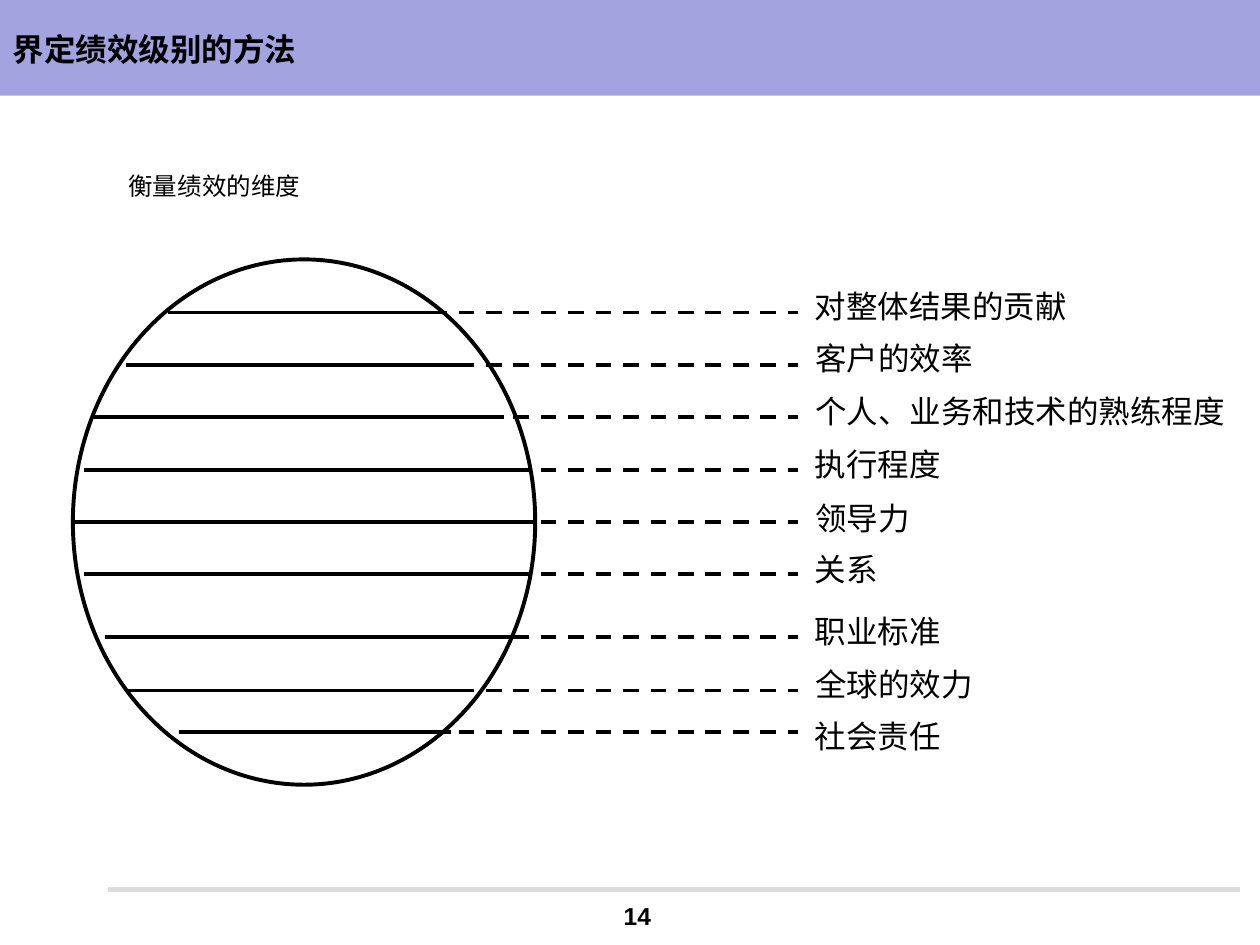
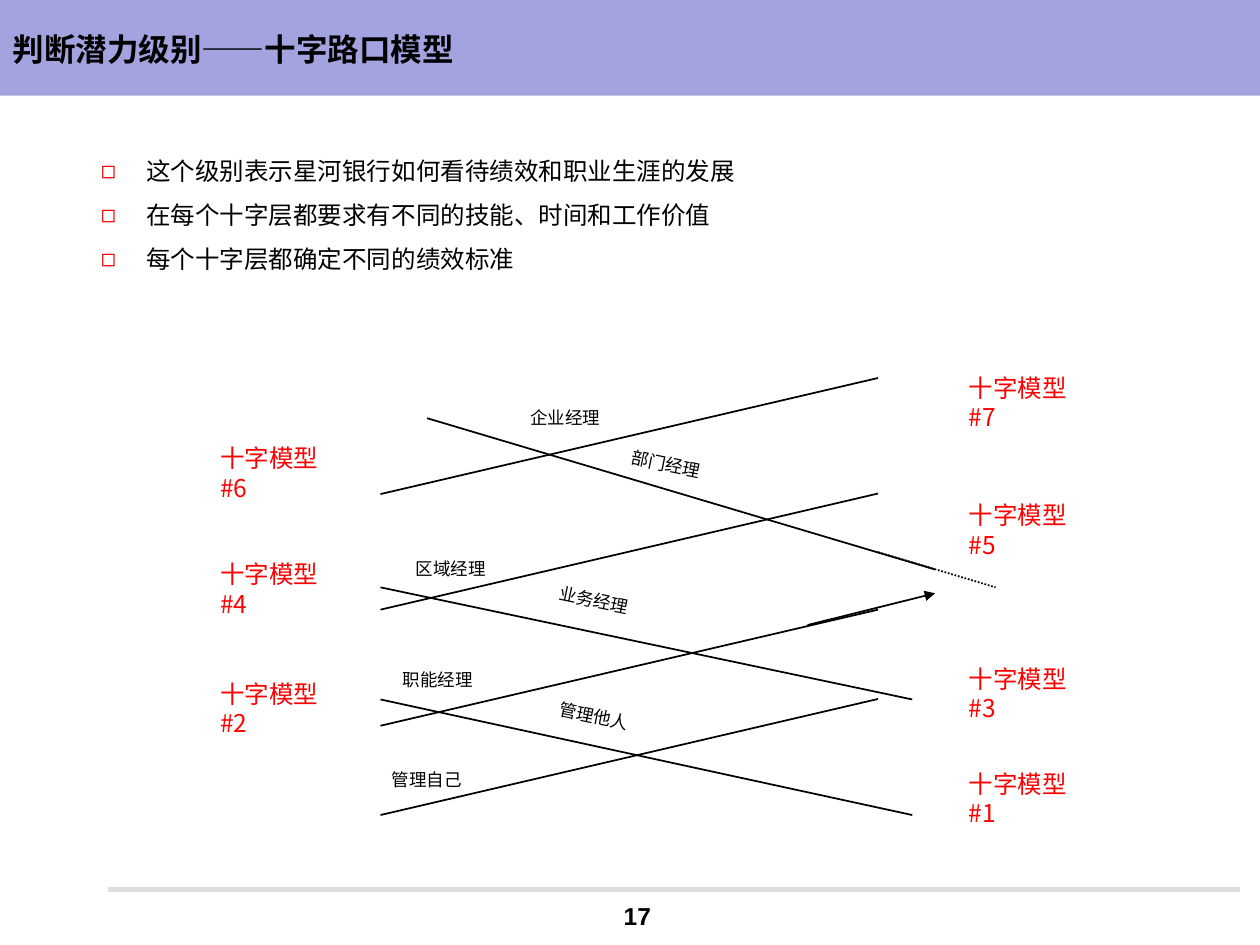
from dataclasses import dataclass
from typing import NamedTuple, Optional

from lxml.etree import SubElement
from pptx import Presentation
from pptx.dml.color import RGBColor
from pptx.enum.dml import MSO_LINE
from pptx.enum.shapes import MSO_CONNECTOR, MSO_SHAPE
from pptx.enum.text import MSO_ANCHOR, MSO_AUTO_SIZE, PP_ALIGN
from pptx.oxml.ns import qn
from pptx.presentation import Presentation as Deck
from pptx.shapes.base import BaseShape
from pptx.slide import Slide
from pptx.text.text import _Paragraph as Paragraph
from pptx.util import Cm, Pt


@dataclass(frozen=True)
class Theme:
    """Colours, fonts and type sizes shared by the slides."""

    band: RGBColor = RGBColor(0xA3, 0xA3, 0xE0)
    rule: RGBColor = RGBColor(0xDD, 0xDD, 0xDD)
    ink: RGBColor = RGBColor(0, 0, 0)
    accent: RGBColor = RGBColor(0xFF, 0, 0)
    paper: RGBColor = RGBColor(0xFF, 0xFF, 0xFF)
    latin: str = "Arial"
    chinese: str = "Noto Sans CJK SC"
    large: int = 18
    medium: int = 14
    small: int = 10
    thin: float = 1
    thick: float = 2.25
    footer_line: float = 2.75


THEME = Theme()


class Style(NamedTuple):
    """Look of a piece of text."""

    size: int
    font: str = THEME.chinese
    color: RGBColor = THEME.ink
    bold: bool = False


class Stroke(NamedTuple):
    """Look of a line."""

    width: float
    color: RGBColor = THEME.ink
    dash: Optional[MSO_LINE] = None
    arrow: bool = False


class Place(NamedTuple):
    """Left, top, width and height in centimetres."""

    left: float
    top: float
    width: float
    height: float


class Dimension(NamedTuple):
    """A performance dimension: its chord of the circle and its label."""

    label: str
    left: float
    right: float
    level: float
    label_top: float


class Segment(NamedTuple):
    """A line between two points, in centimetres."""

    x1: float
    y1: float
    x2: float
    y2: float
    stroke: Stroke


class Role(NamedTuple):
    """A manager role written along one of the roads."""

    label: str
    left: float
    top: float
    angle: float = 0


TITLE = Style(THEME.large, bold=True)
NUMBER = Style(THEME.medium, THEME.latin, bold=True)
BODY = Style(THEME.medium, THEME.latin)
LABEL = Style(THEME.large)
CROSSROAD = Style(THEME.medium, color=THEME.accent)
ROLE = Style(THEME.small)

CHORD = Stroke(THEME.thick)
LEADER = Stroke(THEME.thick, dash=MSO_LINE.DASH)
ROAD = Stroke(THEME.thin)
DOTTED_ROAD = Stroke(THEME.thin, dash=MSO_LINE.ROUND_DOT)
ARROW_ROAD = Stroke(THEME.thin, arrow=True)

DIMENSIONS = [
    Dimension("对整体结果的贡献", 3.38, 8.89, 6.3, 5.66),
    Dimension("客户的效率", 2.54, 9.53, 7.35, 6.71),
    Dimension("个人、业务和技术的熟练程度", 1.9, 10.16, 8.41, 7.77),
    Dimension("执行程度", 1.7, 10.59, 9.47, 8.84),
    Dimension("领导力", 1.47, 10.8, 10.52, 9.93),
    Dimension("关系", 1.7, 10.59, 11.58, 10.97),
    Dimension("职业标准", 2.11, 10.36, 12.85, 12.22),
    Dimension("全球的效力", 2.54, 9.53, 13.92, 13.28),
    Dimension("社会责任", 3.61, 9.09, 14.76, 14.33),
]
LEADER_START, LEADER_END, LABEL_LEFT = 8.69, 16.08, 16.18

POINTS = [
    "这个级别表示星河银行如何看待绩效和职业生涯的发展",
    "在每个十字层都要求有不同的技能、时间和工作价值",
    "每个十字层都确定不同的绩效标准",
]
ROAD_LEFT, ROAD_RIGHT, ROAD_RISE = 7.67, 17.7, 2.34
RISING_STARTS = [9.96, 12.29, 14.63, 16.43]
OTHER_ROADS = [
    Segment(17.7, 11.13, 20.07, 11.84, DOTTED_ROAD),
    Segment(8.61, 8.43, 18.85, 11.48, ROAD),
    Segment(16.28, 12.6, 18.85, 11.96, ARROW_ROAD),
    Segment(ROAD_LEFT, 11.84, 18.39, 14.1, ROAD),
    Segment(ROAD_LEFT, 14.1, 18.39, 16.43, ROAD),
]
CROSSROADS = {
    4.19: {6: 8.81, 4: 11.15, 2: 13.56},
    19.28: {7: 7.39, 5: 9.96, 3: 13.26, 1: 15.37},
}
TILT = 11.6
ROLES = [
    Role("管理自己", 7.65, 15.37),
    Role("管理他人", 11.02, 14.1, TILT),
    Role("职能经理", 7.87, 13.36),
    Role("业务经理", 11.02, 11.76, TILT),
    Role("部门经理", 12.47, 9.02, TILT),
    Role("区域经理", 8.13, 11.13),
    Role("企业经理", 10.44, 8.08),
]


def format_paragraph(para: Paragraph, style: Style) -> None:
    """Give every run of a paragraph the style's font."""
    for span in para.runs:
        span.font.size = Pt(style.size)
        span.font.bold = style.bold
        span.font.color.rgb = style.color
        span.font.name = style.font
        east_asian = SubElement(span._r.get_or_add_rPr(), qn("a:ea"))
        east_asian.set("typeface", THEME.chinese)


def move(shape: BaseShape, place: Place) -> None:
    """Put a shape at its place."""
    shape.left, shape.top = Cm(place.left), Cm(place.top)
    shape.width, shape.height = Cm(place.width), Cm(place.height)


def add_text(page: Slide, text: str, place: Place, style: Style,
             wrap: bool = False) -> BaseShape:
    """Add a one-paragraph text box."""
    box = page.shapes.add_textbox(*(Cm(length) for length in place))
    box.text_frame.word_wrap = wrap
    box.text_frame.text = text
    format_paragraph(box.text_frame.paragraphs[0], style)
    return box


def add_label(page: Slide, text: str, left: float, top: float,
              style: Style) -> BaseShape:
    """Add a single-line label whose box fits its full-width characters."""
    em = Pt(style.size).cm
    return add_text(page, text, Place(left, top, len(text) * em + 0.51,
                                      1.2 * em + 0.25), style)


def add_line(page: Slide, segment: Segment) -> None:
    """Draw a line, with an arrowhead when its stroke asks for one."""
    stroke = segment.stroke
    line = page.shapes.add_connector(
        MSO_CONNECTOR.STRAIGHT, *(Cm(length) for length in segment[:4]))
    line.line.width = Pt(stroke.width)
    line.line.color.rgb = stroke.color
    if stroke.dash is not None:
        line.line.dash_style = stroke.dash
    properties = line.element.spPr
    if stroke.arrow:
        SubElement(properties.find(qn("a:ln")), qn("a:tailEnd")).set(
            "type", "triangle")
    SubElement(properties, qn("a:effectLst"))


def add_solid(page: Slide, kind: MSO_SHAPE, place: Place,
              fill: RGBColor) -> BaseShape:
    """Add a filled preset shape without outline or shadow."""
    shape = page.shapes.add_shape(kind, *(Cm(length) for length in place))
    shape.shadow.inherit = False
    shape.fill.solid()
    shape.fill.fore_color.rgb = fill
    shape.line.fill.background()
    return shape


def add_page(deck: Deck, layout: int, title: str, number: int) -> Slide:
    """Add a slide with the shared band, title, footer line and number."""
    page = deck.slides.add_slide(deck.slide_layouts[layout])
    band = add_solid(page, MSO_SHAPE.RECTANGLE, Place(0, 0, 25.4, 1.93),
                     THEME.band)
    band.element.getparent().insert(2, band.element)
    heading = page.shapes.title
    move(heading, Place(0, 0.2, 24.56, 1.57))
    frame = heading.text_frame
    frame.text = title
    frame.auto_size = MSO_AUTO_SIZE.NONE
    frame.vertical_anchor = MSO_ANCHOR.MIDDLE
    frame.paragraphs[0].alignment = PP_ALIGN.LEFT
    format_paragraph(frame.paragraphs[0], TITLE)
    add_line(page, Segment(2.18, 17.93, 25, 17.93,
                           Stroke(THEME.footer_line, THEME.rule)))
    box = add_text(page, str(number), Place(11.91, 18.01, 1.88, 0.89), NUMBER,
                   wrap=True)
    box.text_frame.vertical_anchor = MSO_ANCHOR.MIDDLE
    box.text_frame.paragraphs[0].alignment = PP_ALIGN.CENTER
    return page


def fill_list(body: BaseShape, points: list[str]) -> None:
    """Write a list with red square bullets into the body placeholder."""
    move(body, Place(1.78, 2.72, 19.08, 2.84))
    frame = body.text_frame
    frame.text = "\n".join(points)
    frame.auto_size = MSO_AUTO_SIZE.NONE
    for para in frame.paragraphs:
        para.line_spacing = 1.5
        para.space_before = Pt(0)
        format_paragraph(para, BODY)
        properties = para._p.get_or_add_pPr()
        indent = Cm(0.91)
        properties.set("marL", str(indent))
        properties.set("indent", str(-indent))
        color = SubElement(properties, qn("a:buClr"))
        SubElement(color, qn("a:srgbClr")).set("val", str(THEME.accent))
        SubElement(properties, qn("a:buChar")).set("char", "◻")


def build_dimensions(deck: Deck) -> None:
    """Build the slide of the dimensions that measure performance."""
    page = add_page(deck, 5, "界定绩效级别的方法", 14)
    add_label(page, "衡量绩效的维度", 2.34, 3.33, BODY)
    circle = add_solid(page, MSO_SHAPE.OVAL, Place(1.47, 5.23, 9.32, 10.59),
                       THEME.paper)
    circle.line.color.rgb = THEME.ink
    circle.line.width = Pt(THEME.thick)
    for item in DIMENSIONS:
        add_line(page, Segment(item.left, item.level, item.right, item.level,
                               CHORD))
        add_line(page, Segment(LEADER_START, item.level, LEADER_END,
                               item.level, LEADER))
        add_label(page, item.label, LABEL_LEFT, item.label_top, LABEL)


def build_crossroads(deck: Deck) -> None:
    """Build the slide of the crossroads model."""
    page = add_page(deck, 1, "判断潜力级别——十字路口模型", 17)
    fill_list(page.placeholders[1], POINTS)
    rising = [Segment(ROAD_LEFT, start, ROAD_RIGHT, start - ROAD_RISE, ROAD)
              for start in RISING_STARTS]
    for segment in rising + OTHER_ROADS:
        add_line(page, segment)
    for left, tops in CROSSROADS.items():
        for number, top in tops.items():
            add_text(page, f"十字模型#{number}", Place(left, top, 2.8, 1.45),
                     CROSSROAD, wrap=True)
    for role in ROLES:
        label = add_label(page, role.label, role.left, role.top, ROLE)
        label.rotation = role.angle


deck = Presentation()
deck.slide_width, deck.slide_height = Cm(25.4), Cm(19.05)
build_dimensions(deck)
build_crossroads(deck)
deck.save("out.pptx")
